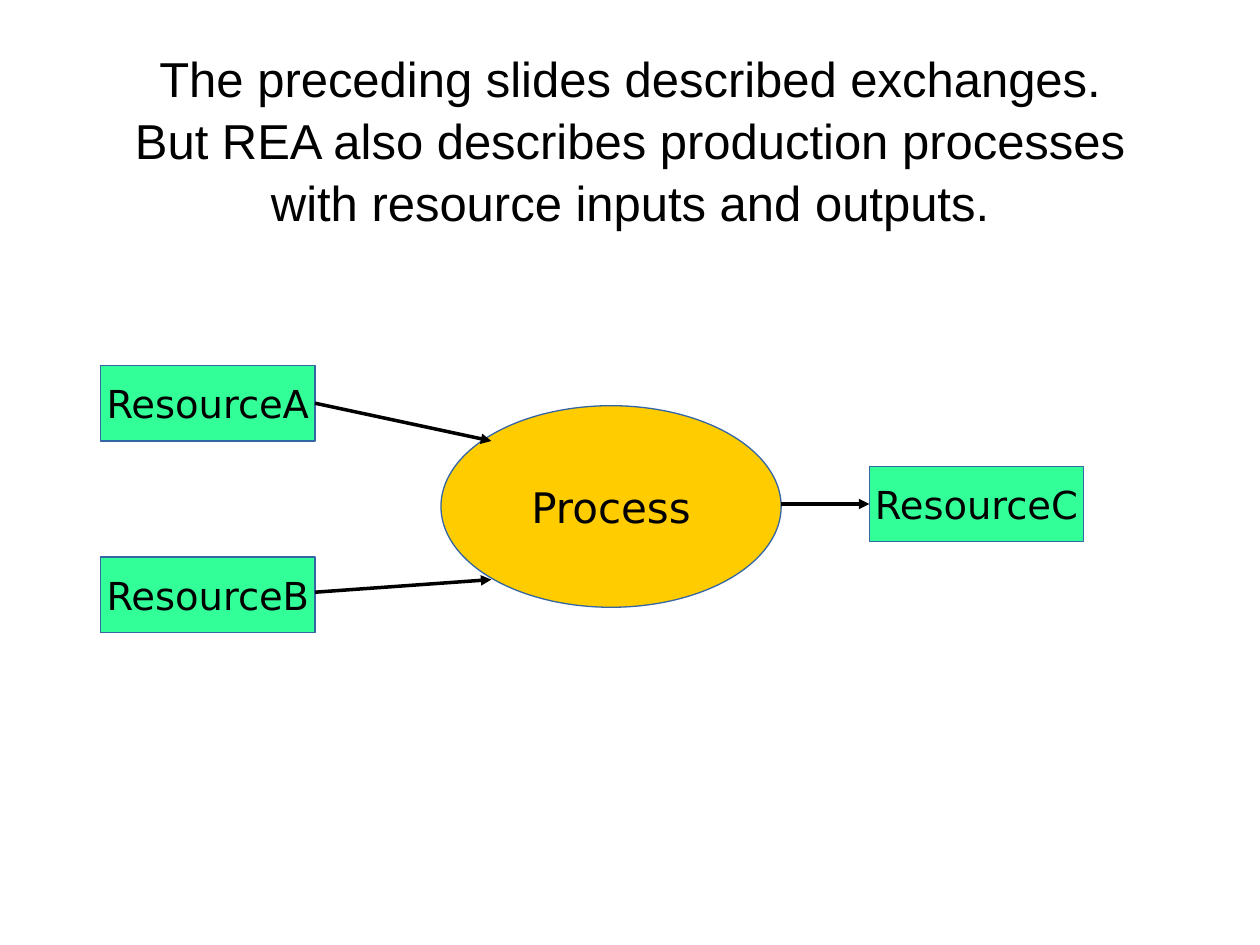
import pptx
import pptx.util
import pptx.dml.color
import pptx.enum.shapes
import pptx.enum.text
import pptx.oxml.ns
import lxml.etree

Inches, Pt = pptx.util.Inches, pptx.util.Pt
MSO_SHAPE = pptx.enum.shapes.MSO_SHAPE


def color(value):
    return pptx.dml.color.RGBColor.from_string(value)


def set_text(sp, text, font, size, wrap):
    tf = sp.text_frame
    tf.word_wrap = wrap
    tf.vertical_anchor = pptx.enum.text.MSO_ANCHOR.MIDDLE
    p = tf.paragraphs[0]
    p.text = text
    p.alignment = pptx.enum.text.PP_ALIGN.CENTER
    for r in p.runs:
        r.font.name = font
        r.font.size = Pt(size)
        r.font.color.rgb = color("000000")


prs = pptx.Presentation()
prs.slide_width, prs.slide_height = Inches(10), Inches(7.5)
s = prs.slides.add_slide(prs.slide_layouts[6])

title = s.shapes.add_textbox(Inches(0.5), Inches(0.3), Inches(9), Inches(1.6))
set_text(
    title,
    "The preceding slides described exchanges.\v"
    "But REA also describes production processes\v"
    "with resource inputs and outputs.",
    "Arial", 28, True,
)
title.text_frame.paragraphs[0].line_spacing = 1.05

# label, shape, left, top, width, height, fill, text size
nodes = [
    ("Process", MSO_SHAPE.OVAL, 3.5, 3.22, 2.7, 1.6, "FFCC00", 24),
    ("ResourceA", MSO_SHAPE.RECTANGLE, 0.8, 2.9, 1.7, 0.6, "33FF99", 22),
    ("ResourceB", MSO_SHAPE.RECTANGLE, 0.8, 4.42, 1.7, 0.6, "33FF99", 22),
    ("ResourceC", MSO_SHAPE.RECTANGLE, 6.9, 3.7, 1.7, 0.6, "33FF99", 22),
]
for label, kind, left, top, width, height, fill, size in nodes:
    sp = s.shapes.add_shape(kind, Inches(left), Inches(top), Inches(width), Inches(height))
    sp.shadow.inherit = False
    sp.fill.solid()
    sp.fill.fore_color.rgb = color(fill)
    sp.line.color.rgb = color("3465A4")
    sp.line.width = Pt(0)
    set_text(sp, label, "DejaVu Sans", size, False)

flows = [(2.5, 3.2, 3.9, 3.5), (2.5, 4.7, 3.9, 4.6), (6.2, 4, 6.9, 4)]
for flow in flows:
    arrow = s.shapes.add_connector(
        pptx.enum.shapes.MSO_CONNECTOR.STRAIGHT, *(Inches(v) for v in flow))
    arrow.line.color.rgb = color("000000")
    arrow.line.width = Pt(0)
    ln = arrow.line._get_or_add_ln()
    lxml.etree.SubElement(ln, pptx.oxml.ns.qn("a:tailEnd"), type="triangle")
    lxml.etree.SubElement(arrow._element.spPr, pptx.oxml.ns.qn("a:effectLst"))

prs.save("out.pptx")
